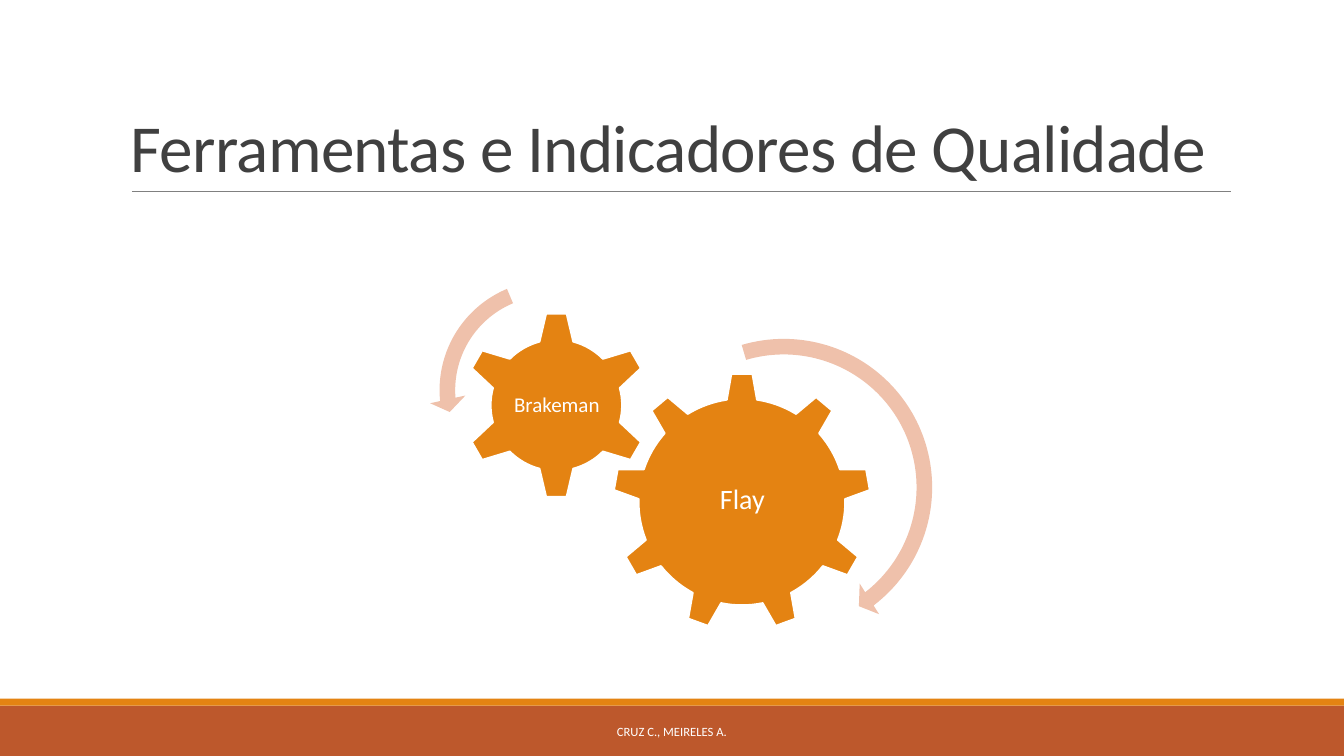
from pptx import Presentation
from pptx.dml.color import RGBColor
from pptx.enum import shapes, text
from pptx.oxml import ns
from pptx.util import Pt

ORANGE = RGBColor(0xE4, 0x83, 0x12)
RUST = RGBColor(0xBD, 0x58, 0x2C)
PEACH = RGBColor(0xEF, 0xC1, 0xAB)
GRAY = RGBColor(0x80, 0x80, 0x80)
DARK = RGBColor(0x40, 0x40, 0x40)
WHITE = RGBColor(0xFF, 0xFF, 0xFF)

KIND = shapes.MSO_SHAPE
ALIGN = text.PP_ALIGN
ANCHOR = text.MSO_ANCHOR

WIDE, HIGH = 960, 540
TITLE = "Ferramentas e Indicadores de Qualidade"
FOOTER = "CRUZ C., MEIRELES A."

# top, height, colour
BANDS = [(504, 36, RUST), (499, 5.04, ORANGE)]

# kind, left, top, size, label, label box, font size, inset
GEARS = [
    (KIND.GEAR_9, 437.8, 266.4, 184.3, "Flay", (475.2, 309.6, 110.2, 95), 20, 2),
    (KIND.GEAR_6, 330.5, 222.5, 133.9, "Brakeman", (364.3, 257, 67, 66.2), 15, 1.5),
]

# kind, left, top, size, adjustments
ARROWS = [
    (KIND.CIRCULAR_ARROW, 446.4, 234.7, 226.8,
     (0.049, 3.126, 31.482, 152.138, 0.057)),
    (KIND.LEFT_CIRCULAR_ARROW, 306.7, 193, 171.4,
     (0.065, 4.3, 104.891, 148.378, 0.075)),
]


def add_part(slide, kind, box, fill, edge=None):
    part = slide.shapes.add_shape(kind, *map(Pt, box))
    part.shadow.inherit = False
    part.fill.solid()
    part.fill.fore_color.rgb = fill
    if edge is None:
        part.line.fill.background()
    else:
        part.line.color.rgb = edge
        part.line.width = Pt(1.25)
    return part


def add_label(slide, words, box, size, color=WHITE, align=ALIGN.CENTER,
              anchor=ANCHOR.MIDDLE, lead=1.0, inset=None):
    """Add a one-line text box and return its run."""
    frame = slide.shapes.add_textbox(*map(Pt, box)).text_frame
    frame.word_wrap = True
    frame.vertical_anchor = anchor
    if inset is not None:
        frame.margin_left = frame.margin_right = Pt(inset)
        frame.margin_top = frame.margin_bottom = Pt(inset)
    para = frame.paragraphs[0]
    para.alignment = align
    para.line_spacing = lead
    run = para.add_run()
    run.text = words
    run.font.name = "Calibri"
    run.font.size = Pt(size)
    run.font.color.rgb = color
    return run


def add_rule(slide, left, right, top):
    rule = slide.shapes.add_connector(
        shapes.MSO_CONNECTOR.STRAIGHT, Pt(left), Pt(top), Pt(right), Pt(top))
    rule.line.color.rgb = GRAY
    rule.line.width = Pt(0.5)
    props = rule._element.spPr
    props.append(props.makeelement(ns.qn("a:effectLst"), {}))


def main():
    deck = Presentation()
    deck.slide_width, deck.slide_height = Pt(WIDE), Pt(HIGH)
    slide = deck.slides.add_slide(deck.slide_layouts[6])

    for top, height, color in BANDS:
        add_part(slide, KIND.RECTANGLE, (0, top, WIDE, height), color)
    add_rule(slide, 94.3, 879, 136.8)

    title = add_label(slide, TITLE, (86.4, 22.3, 792, 114.5), 48, DARK,
                      ALIGN.LEFT, ANCHOR.BOTTOM, 0.85)
    title.font._element.set("spc", "-50")
    add_label(slide, FOOTER, (290.2, 508.3, 379.4, 28.8), 9)

    for kind, left, top, side, words, box, size, inset in GEARS:
        add_part(slide, kind, (left, top, side, side), ORANGE, WHITE)
        add_label(slide, words, box, size, lead=0.9, inset=inset)

    for kind, left, top, side, values in ARROWS:
        arrow = add_part(slide, kind, (left, top, side, side), PEACH)
        for i, value in enumerate(values):
            arrow.adjustments[i] = value

    deck.save("out.pptx")


if __name__ == "__main__":
    main()
